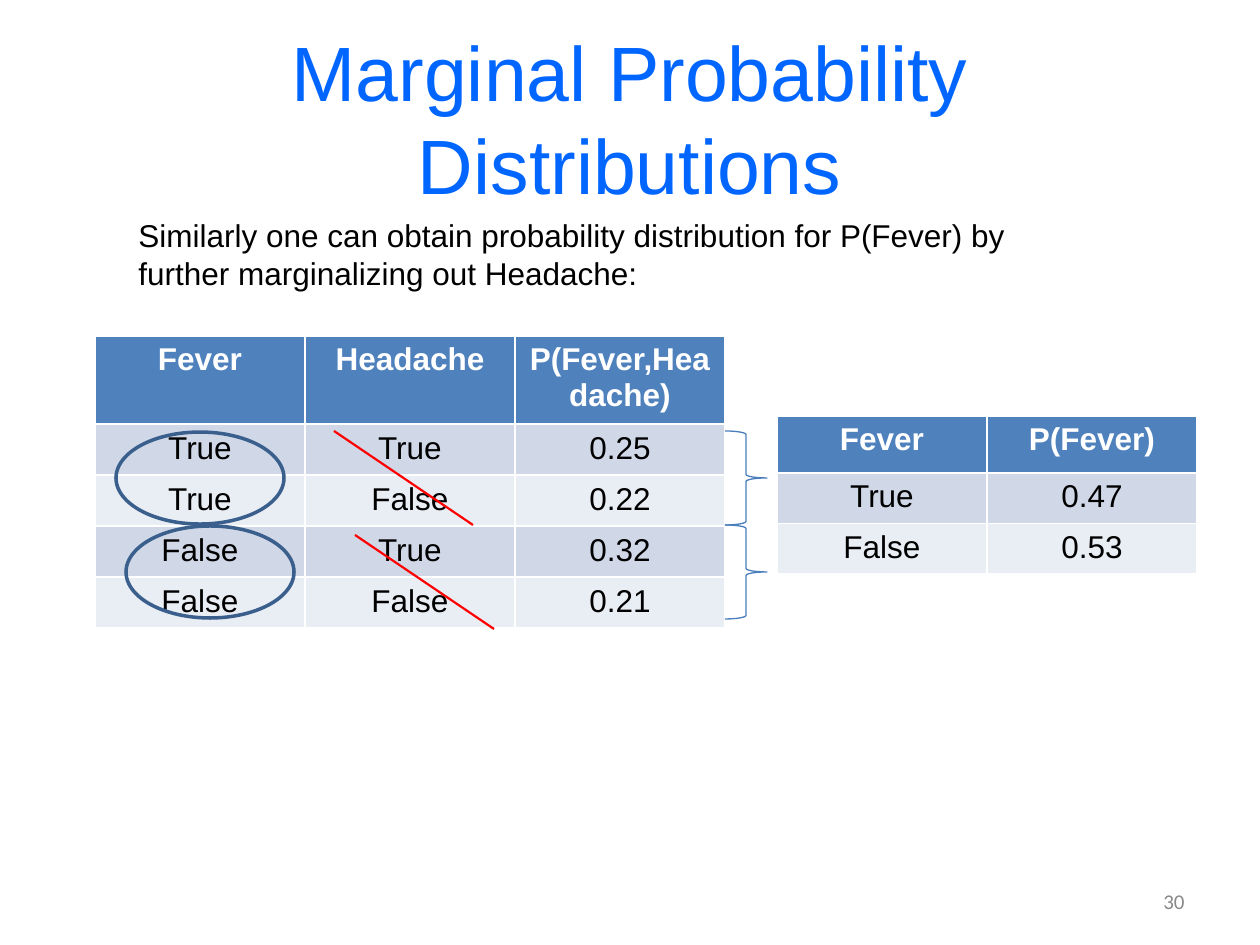
from lxml.etree import SubElement
from pptx import Presentation
from pptx.dml.color import RGBColor
from pptx.enum.shapes import MSO_CONNECTOR, MSO_SHAPE
from pptx.enum.text import MSO_ANCHOR, PP_ALIGN
from pptx.oxml.ns import qn
from pptx.util import Pt

PX = 914400 / 126
COLORS = {
    "title": "0066FF", "text": "000000", "number": "898989", "header": "4F81BD",
    "header_text": "FFFFFF", "odd": "D0D8E8", "even": "E9EDF4",
    "brace": "4B7EBC", "ring": "3A5F8C", "strike": "FF0000",
}
JOINT = [
    ("Fever", "Headache", "P(Fever,Headache)"),
    ("True", "True", "0.25"),
    ("True", "False", "0.22"),
    ("False", "True", "0.32"),
    ("False", "False", "0.21"),
]
MARGINAL = [("Fever", "P(Fever)"), ("True", "0.47"), ("False", "0.53")]


def px(*values):
    """Turn pixel lengths into EMU."""
    return [round(v * PX) for v in values]


def rgb(name):
    """Look up a named colour."""
    return RGBColor.from_string(COLORS[name])


def style(p, size, color, align, font="Arial", bold=False):
    """Set the alignment and font of a paragraph."""
    p.alignment = align
    p.font.size, p.font.name, p.font.bold = Pt(size), font, bold
    p.font.color.rgb = rgb(color)


def add_text(s, box, lines, size, color, align, font="Arial", anchor=MSO_ANCHOR.MIDDLE, wrap=True):
    """Place a text box with one paragraph for each line."""
    tf = s.shapes.add_textbox(*px(*box)).text_frame
    tf.word_wrap, tf.vertical_anchor = wrap, anchor
    tf.text = "\n".join(lines)
    for p in tf.paragraphs:
        style(p, size, color, align, font)


def add_grid(s, box, rows, header_height):
    """Place a probability table with a header and banded rows."""
    x, y, w, h = box
    table = s.shapes.add_table(len(rows), len(rows[0]), *px(x, y, w, h)).table
    row_height = (h - header_height) / (len(rows) - 1)
    for column in table.columns:
        column.width = px(w / len(rows[0]))[0]
    for i, values in enumerate(rows):
        table.rows[i].height = px(row_height if i else header_height)[0]
        band = ("even", "odd")[i % 2] if i else "header"
        for j, value in enumerate(values):
            cell = table.cell(i, j)
            cell.text = value
            cell.fill.solid()
            cell.fill.fore_color.rgb = rgb(band)
            style(cell.text_frame.paragraphs[0], 18, "text" if i else "header_text",
                  PP_ALIGN.CENTER, bold=not i)


def add_outline(s, kind, box, color, width):
    """Place an unfilled preset shape."""
    sp = s.shapes.add_shape(kind, *px(*box))
    sp.shadow.inherit = False
    sp.fill.background()
    sp.line.color.rgb = rgb(color)
    sp.line.width = Pt(width)


def add_strike(s, x, y, w, h):
    """Draw a red diagonal across a box."""
    line = s.shapes.add_connector(MSO_CONNECTOR.STRAIGHT, *px(x, y, x + w, y + h))
    line.line.color.rgb = rgb("strike")
    line.line.width = Pt(1.25)
    SubElement(line._element.spPr, qn("a:effectLst"))


def add_joint(s, box):
    """Place the joint table and mark the pairs of rows summed together."""
    x, y, w, h = box
    add_grid(s, box, JOINT, 88)
    pairs = [(y + 95, 21, 239, 95), (y + 189, 31, 260, 199)]
    for top, _, _, _ in pairs:
        add_outline(s, MSO_SHAPE.RIGHT_BRACE, (x + w, top, 42, 94), "brace", 0.75)
    for top, ring_x, _, _ in pairs:
        add_outline(s, MSO_SHAPE.OVAL, (x + ring_x, top + 1, 168, 92), "ring", 2)
    for _, _, strike_x, strike_y in pairs:
        add_strike(s, x + strike_x, y + strike_y, 139, 94)


def main():
    """Build the slide and save it."""
    prs = Presentation()
    prs.slide_width, prs.slide_height = px(1260, 945)
    s = prs.slides.add_slide(prs.slide_layouts[6])
    add_text(s, (63, 38, 1134, 158), ["Marginal Probability Distributions"],
             44, "title", PP_ALIGN.CENTER)
    add_text(s, (903, 876, 294, 50), ["30"], 12, "number", PP_ALIGN.RIGHT, "Calibri")
    add_text(s, (126, 210, 908, 89),
             ["Similarly one can obtain probability distribution for P(Fever) by",
              "further marginalizing out Headache:"],
             18, "text", PP_ALIGN.LEFT, anchor=MSO_ANCHOR.TOP, wrap=False)
    add_joint(s, (95, 336, 630, 292))
    add_grid(s, (777, 416, 420, 157), MARGINAL, 57)
    prs.save("out.pptx")


if __name__ == "__main__":
    main()
